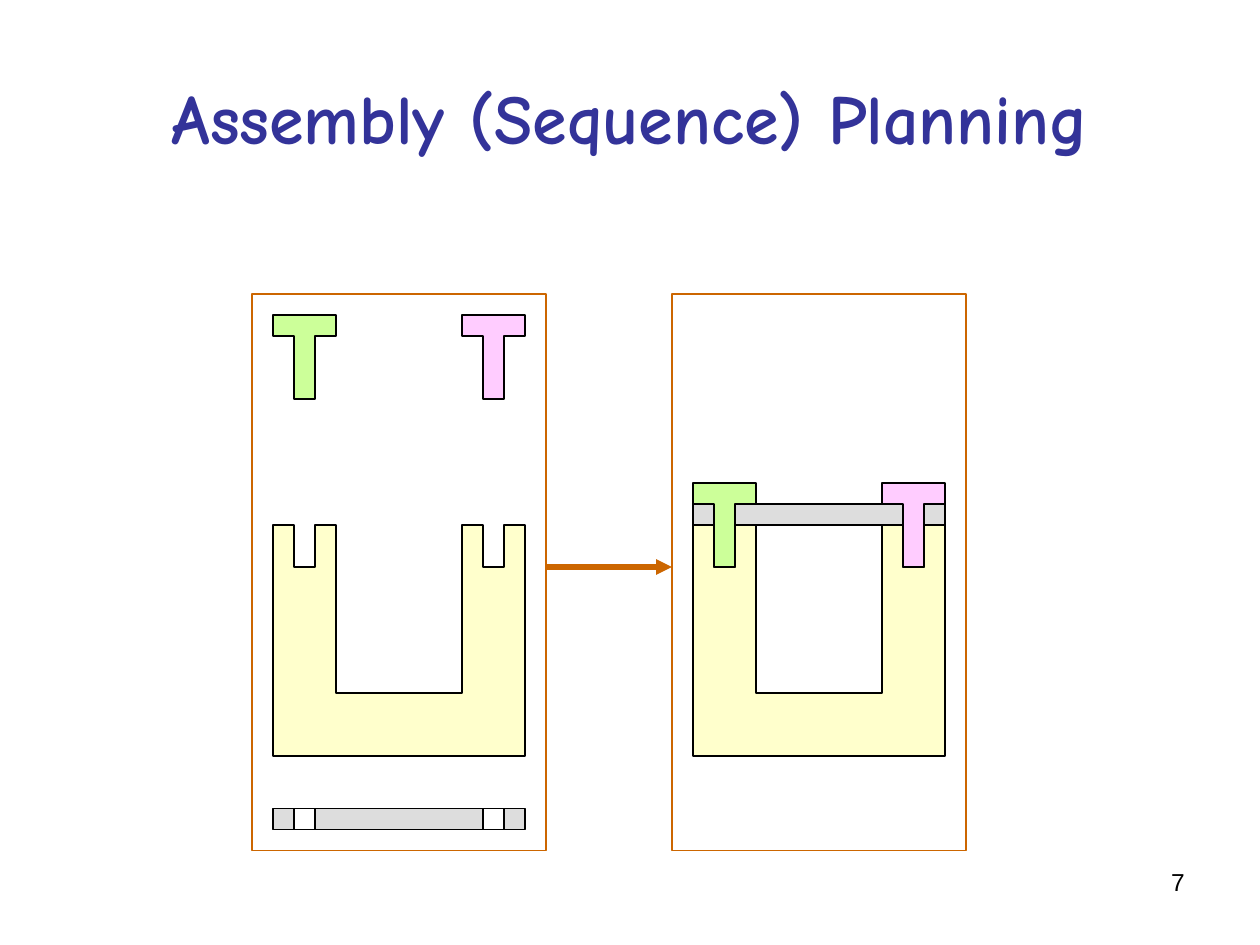
from dataclasses import dataclass

from lxml.etree import SubElement
from pptx import Presentation
from pptx.dml.color import RGBColor
from pptx.enum.shapes import MSO_CONNECTOR as Connector, MSO_SHAPE as Shape
from pptx.enum.text import MSO_ANCHOR as Anchor, MSO_AUTO_SIZE as AutoSize, PP_ALIGN as Align
from pptx.oxml.ns import qn
from pptx.util import Inches, Pt


@dataclass(frozen=True)
class Theme:
    heading: str = "333399"
    ink: str = "000000"
    frame: str = "CC6600"
    base: str = "FFFFCC"
    bar: str = "DDDDDD"
    hole: str = "FFFFFF"
    left_peg: str = "CCFF99"
    right_peg: str = "FFCCFF"
    title_font: str = "Comic Neue"
    number_font: str = "Arial"
    title_size: int = 40
    number_size: int = 14
    thin: float = 0.75
    thick: float = 3


CELL = Inches(1) // 6  # the slide is a grid of 60 columns by 45 rows

# Outlines in grid cells, from the top left corner of each part
BASE = [(0, 0), (1, 0), (1, 2), (2, 2), (2, 0), (3, 0), (3, 8), (9, 8), (9, 0),
        (10, 0), (10, 2), (11, 2), (11, 0), (12, 0), (12, 11), (0, 11)]
PEG = [(0, 0), (3, 0), (3, 1), (2, 1), (2, 4), (1, 4), (1, 1), (0, 1)]


def cells(*values):
    return [round(value * CELL) for value in values]


class AssemblySlide:
    def __init__(self, slide, theme):
        self.slide, self.shapes, self.theme = slide, slide.shapes, theme

    def _paint(self, shape, fill, line):
        shape.shadow.inherit = False
        if fill:
            shape.fill.solid()
            shape.fill.fore_color.rgb = RGBColor.from_string(fill)
        else:
            shape.fill.background()
        shape.line.color.rgb = RGBColor.from_string(line)
        shape.line.width = Pt(self.theme.thin)

    def _write(self, frame, text, font, size, color, align, bold=False):
        frame.text = text
        frame.word_wrap = True
        paragraph = frame.paragraphs[0]
        paragraph.alignment = align
        style = paragraph.runs[0].font
        style.name, style.size, style.bold = font, Pt(size), bold
        style.color.rgb = RGBColor.from_string(color)

    def title(self, text, *place):
        heading = self.shapes.title
        heading.left, heading.top, heading.width, heading.height = cells(*place)
        frame = heading.text_frame
        frame.auto_size = AutoSize.NONE
        frame.vertical_anchor = Anchor.MIDDLE
        theme = self.theme
        self._write(frame, text, theme.title_font, theme.title_size,
                    theme.heading, Align.CENTER, bold=True)

    def page_number(self, text, *place):
        number = self.shapes.add_textbox(*cells(*place))
        theme = self.theme
        self._write(number.text_frame, text, theme.number_font,
                    theme.number_size, theme.ink, Align.RIGHT)

    def box(self, *place, fill=None, line=None):
        rectangle = self.shapes.add_shape(Shape.RECTANGLE, *cells(*place))
        self._paint(rectangle, fill, line or self.theme.ink)

    def outline(self, points, column, row, fill):
        builder = self.shapes.build_freeform(*points[0], scale=CELL)
        builder.add_line_segments(points[1:], close=True)
        self._paint(builder.convert_to_shape(*cells(column, row)), fill, self.theme.ink)

    def arrow(self, *ends):
        arrow = self.shapes.add_connector(Connector.STRAIGHT, *cells(*ends))
        arrow.line.color.rgb = RGBColor.from_string(self.theme.frame)
        arrow.line.width = Pt(self.theme.thick)
        properties = arrow._element.spPr
        SubElement(properties.find(qn("a:ln")), qn("a:tailEnd"), type="triangle")
        SubElement(properties, qn("a:effectLst"))

    def stage(self, column, bar_row, peg_row):
        """Draw one framed state of the parts, set by the rows of bar and pegs."""
        theme = self.theme
        inner = column + 1
        self.outline(BASE, inner, 25, theme.base)
        self.box(inner, bar_row, 12, 1, fill=theme.bar)
        for hole in (10, 1):
            self.box(inner + hole, bar_row, 1, 1, fill=theme.hole)
        for peg, fill in ((0, theme.left_peg), (9, theme.right_peg)):
            self.outline(PEG, inner + peg, peg_row, fill)
        self.box(column, 14, 14, 26.5, line=theme.frame)


def main():
    deck = Presentation()
    deck.slide_width, deck.slide_height = cells(60, 45)
    title_only = deck.slide_layouts[5]
    page = AssemblySlide(deck.slides.add_slide(title_only), Theme())

    # Heading and page number
    page.title("Assembly (Sequence) Planning", 3, 1.8, 54, 7.5)
    page.page_number("7", 43, 41, 14, 3.1)

    # Separate parts, then the assembled product
    page.stage(12, bar_row=38.5, peg_row=15)
    page.stage(32, bar_row=24, peg_row=23)
    page.arrow(26, 27, 32, 27)

    deck.save("out.pptx")


if __name__ == "__main__":
    main()
